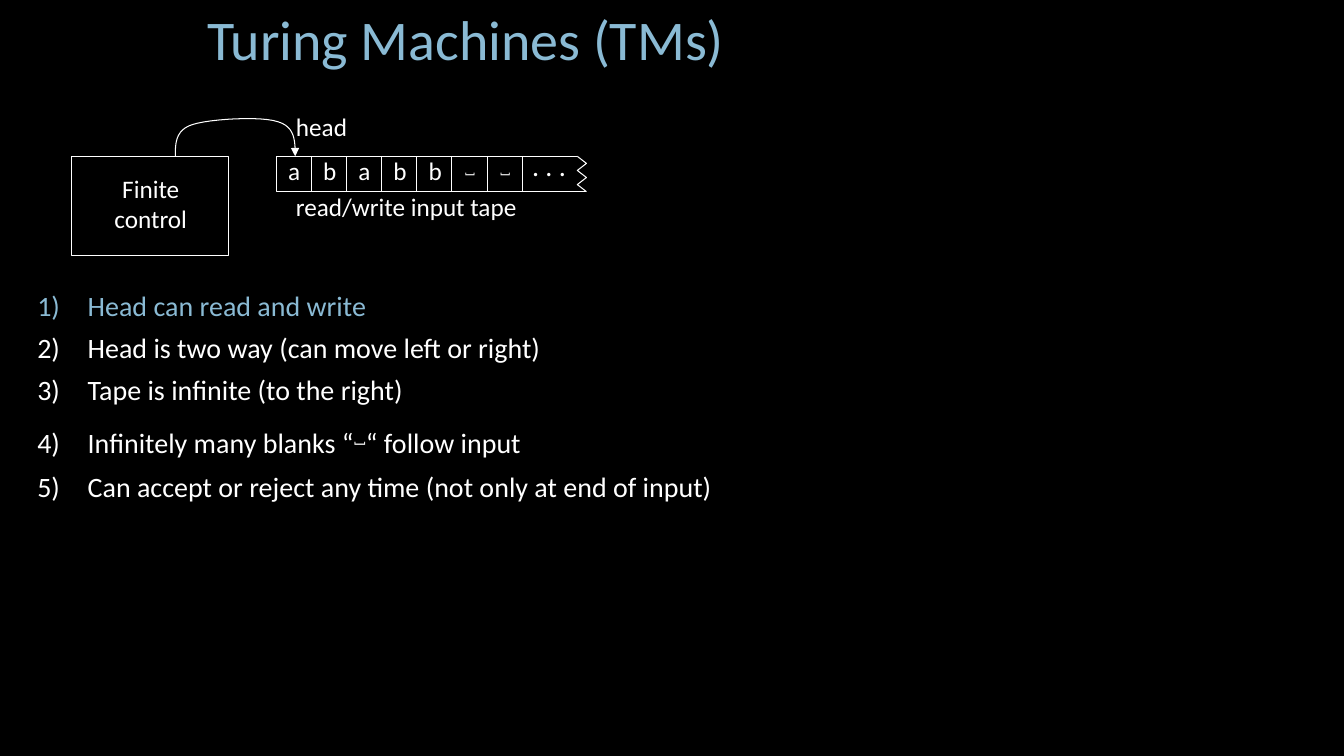
from lxml import etree
from pptx import Presentation
from pptx import util as u
from pptx.dml.color import RGBColor
from pptx.enum import shapes, text
from pptx.oxml import ns

Cm, Pt = u.Cm, u.Pt
BLACK = RGBColor(0x00, 0x00, 0x00)
WHITE = RGBColor(0xFF, 0xFF, 0xFF)
BLUE = RGBColor(0x8A, 0xBA, 0xD4)
BLANK = "\u02fd"

deck = Presentation()
deck.slide_width, deck.slide_height = Cm(33.87), Cm(19.05)
page = deck.slides.add_slide(deck.slide_layouts[6])
page.background.fill.solid()
page.background.fill.fore_color.rgb = BLACK


def add_text(words, left, top, width, height, size=18, color=WHITE, wrap=False, align=None):
    box = page.shapes.add_textbox(Cm(left), Cm(top), Cm(width), Cm(height))
    box.text_frame.word_wrap = wrap
    box.text_frame.auto_size = text.MSO_AUTO_SIZE.SHAPE_TO_FIT_TEXT
    para = box.text_frame.paragraphs[0]
    para.text = words
    para.alignment = align
    para.font.name, para.font.size, para.font.color.rgb = "Calibri", Pt(size), color
    return para


def add_outline(points):
    corners = [(Cm(x), Cm(y)) for x, y in points]
    builder = page.shapes.build_freeform(*corners[0])
    builder.add_line_segments(corners[1:], close=False)
    outline = builder.convert_to_shape()
    outline.shadow.inherit = False
    outline.fill.background()
    outline.line.color.rgb, outline.line.width = WHITE, Pt(0.75)
    return outline


add_text("Turing Machines (TMs)", 0, 0, 23.47, 1.96, 40, BLUE, True, text.PP_ALIGN.CENTER)

rules = [
    ["Head can read and write"],
    ["Head is two way (can move left or right)"],
    ["Tape is infinite (to the right)"],
    ["Infinitely many blanks \u201c", BLANK, "\u201c follow input"],
    ["Can accept or reject any time (not only at end of input)"],
]
rule_box = page.shapes.add_textbox(Cm(0.69), Cm(7.14), Cm(19.13), Cm(5.56))
rule_box.text_frame.word_wrap = True
for index, parts in enumerate(rules):
    para = rule_box.text_frame.paragraphs[0] if index == 0 else rule_box.text_frame.add_paragraph()
    para.space_before = Pt(6)
    para.font.name, para.font.size = "Calibri", Pt(20)
    para.font.color.rgb = BLUE if index == 0 else WHITE
    for part in parts:
        span = para.add_run()
        span.text = part
        if part == BLANK:
            span.font.size = Pt(28)
            span._r.get_or_add_rPr().set("baseline", "30000")
    layout = para._p.get_or_add_pPr()
    layout.set("marL", str(Cm(1.27)))
    layout.set("indent", str(-Cm(1.27)))
    numbering = etree.Element(ns.qn("a:buAutoNum"), type="arabicParenR")
    layout.find(ns.qn("a:spcBef")).addnext(numbering)

control = page.shapes.add_shape(shapes.MSO_SHAPE.RECTANGLE, Cm(1.8), Cm(3.94), Cm(3.96), Cm(2.49))
control.shadow.inherit = False
control.fill.background()
control.line.color.rgb, control.line.width = WHITE, Pt(0.75)
add_text("Finite\ncontrol", 2.62, 4.24, 2.36, 1.8, align=text.PP_ALIGN.CENTER)

tape_left, tape_top, tape_bottom = 6.96, 3.94, 4.83
tear_left, tear_right = 14.55, 14.78
symbols = ["a", "b", "a", "b", "b", BLANK, BLANK]
cell = (13.16 - tape_left) / len(symbols)
add_outline([(tear_right, tape_bottom), (tape_left, tape_bottom),
             (tape_left, tape_top), (tear_left, tape_top)])
tear_step = (tape_bottom - tape_top) / 5
add_outline([(tear_left if i % 2 else tear_right, tape_bottom - i * tear_step) for i in range(6)])

for index, symbol in enumerate(symbols):
    left = tape_left + index * cell
    edge = Cm(left + cell)
    divider = page.shapes.add_connector(
        shapes.MSO_CONNECTOR.STRAIGHT, edge, Cm(tape_top), edge, Cm(tape_bottom))
    divider.line.color.rgb, divider.line.width = WHITE, Pt(0.75)
    etree.SubElement(divider._element.spPr, ns.qn("a:effectLst"))
    if symbol == BLANK:
        para = add_text(symbol, left + 0.08, 3.63, 0.81, 1.27, 24)
        para.runs[0]._r.get_or_add_rPr().set("baseline", "30000")
    else:
        add_text(symbol, left + 0.05, 3.8, 0.84, 1.02)
add_text(". . .", 13.16, 3.63, 1.37, 1.12, 20)

curves = [
    [(4.42, 3.94), (4.42, 3.61), (4.42, 3.28), (4.85, 3.14)],
    [(4.85, 3.14), (5.28, 3.0), (6.58, 2.92), (7.01, 3.07)],
    [(7.01, 3.07), (7.44, 3.2), (7.44, 3.56), (7.44, 3.94)],
]
steps = 12
arc = [curves[0][0]]
for curve in curves:
    for step in range(1, steps + 1):
        t = step / steps
        weights = [(1 - t) ** 3, 3 * t * (1 - t) ** 2, 3 * t ** 2 * (1 - t), t ** 3]
        arc.append(tuple(sum(w * point[axis] for w, point in zip(weights, curve)) for axis in (0, 1)))
head_arrow = add_outline(arc)
etree.SubElement(head_arrow.line._get_or_add_ln(), ns.qn("a:tailEnd"), type="triangle")

add_text("read/write input tape", 7.21, 4.7, 6.15, 1.02)
add_text("head", 7.21, 2.69, 1.83, 1.02)

deck.save("out.pptx")
